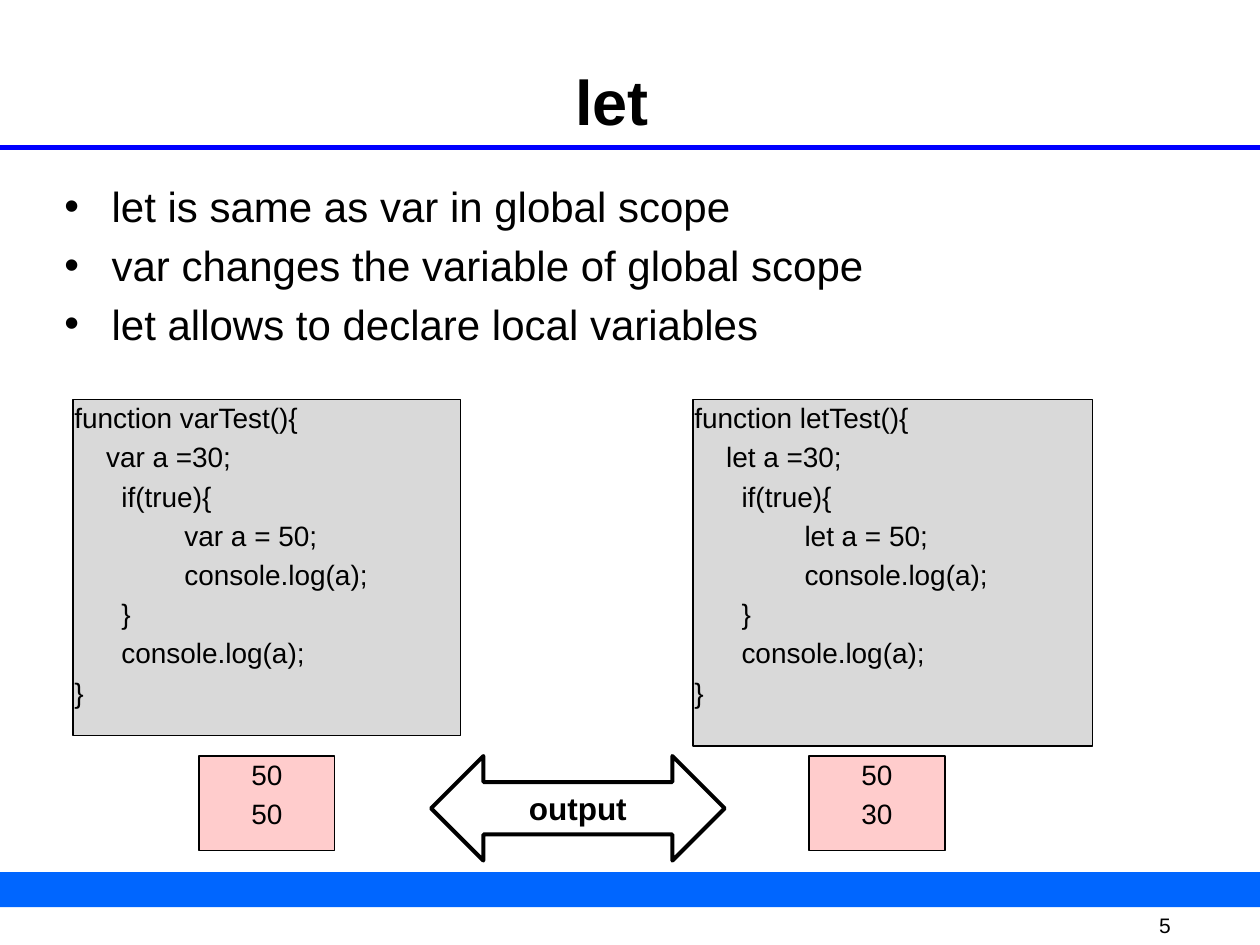
from dataclasses import dataclass

from lxml.etree import SubElement
from pptx import Presentation
from pptx.dml.color import RGBColor
from pptx.enum.shapes import MSO_CONNECTOR as Connector, MSO_SHAPE as Shape
from pptx.enum.text import MSO_ANCHOR as Anchor, MSO_AUTO_SIZE as AutoSize, PP_ALIGN as Align
from pptx.oxml.ns import qn
from pptx.util import Cm, Pt

FONT = "Arial"
BLACK, GREY, PINK = "000000", "D9D9D9", "FFCCCC"
BAR_BLUE, RULE_BLUE = "0066FF", "0000FF"
HANGING = 0.95
CODE_INDENTS = (0, 0.64, 0.95, 2.22, 2.22, 0.95, 0.95, 0)


@dataclass
class Box:
    left: float
    top: float
    width: float
    height: float

    def lengths(self):
        return Cm(self.left), Cm(self.top), Cm(self.width), Cm(self.height)


@dataclass
class Example:
    keyword: str
    code_box: Box
    output_box: Box
    output: list[str]

    def code(self) -> list[str]:
        return [f"function {self.keyword}Test(){{", f"{self.keyword} a =30;", "if(true){",
                f"{self.keyword} a = 50;", "console.log(a);", "}", "console.log(a);", "}"]


def color(value: str) -> RGBColor:
    return RGBColor.from_string(value)


def write(shape, lines: list[str], *, size: int, bold: bool = False, align=Align.LEFT,
          anchor=Anchor.TOP, inset: float = 0.03, indents=None, bullet: str = "") -> None:
    """Fill a shape with paragraphs in one format."""
    frame = shape.text_frame
    frame.text = "\n".join(lines)
    frame.word_wrap = True
    frame.auto_size = AutoSize.NONE
    frame.vertical_anchor = anchor
    frame.margin_left = frame.margin_right = frame.margin_top = frame.margin_bottom = Cm(inset)
    for paragraph, indent in zip(frame.paragraphs, indents or [0] * len(lines)):
        paragraph.alignment = align
        font = paragraph.runs[0].font
        font.name, font.size, font.bold = FONT, Pt(size), bold
        font.color.rgb = color(BLACK)
        # Space before is 20 % of the text size
        properties = paragraph._p.get_or_add_pPr()
        properties.set("marL", str(Cm(indent)))
        properties.set("indent", str(-Cm(indent) if bullet else 0))
        space = SubElement(properties, qn("a:spcBef"))
        SubElement(space, qn("a:spcPct")).set("val", "20000")
        if bullet:
            SubElement(properties, qn("a:buFont")).set("typeface", FONT)
            SubElement(properties, qn("a:buChar")).set("char", bullet)


def add_box(slide, kind, box: Box, *, fill: str = "", line: float = 0):
    """Add a preset shape with an optional fill and black outline."""
    shape = slide.shapes.add_shape(kind, *box.lengths())
    shape.shadow.inherit = False
    if fill:
        shape.fill.solid()
        shape.fill.fore_color.rgb = color(fill)
    else:
        shape.fill.background()
    if line:
        shape.line.color.rgb = color(BLACK)
        shape.line.width = Pt(line)
    else:
        shape.line.fill.background()
    return shape


def place(shape, box: Box):
    shape.left, shape.top, shape.width, shape.height = box.lengths()
    return shape


def add_example(slide, example: Example) -> None:
    """Add a code listing and the output below it."""
    listing = add_box(slide, Shape.RECTANGLE, example.code_box, fill=GREY, line=0.75)
    write(listing, example.code(), size=16, indents=CODE_INDENTS)
    result = add_box(slide, Shape.RECTANGLE, example.output_box, fill=PINK, line=0.75)
    write(result, example.output, size=16, align=Align.CENTER)


presentation = Presentation()
presentation.slide_width, presentation.slide_height = Cm(25.4), Cm(19.05)
slide = presentation.slides.add_slide(presentation.slide_layouts[1])

# Footer bar, slide number and title rule
add_box(slide, Shape.RECTANGLE, Box(0, 17.58, 25.4, 0.71), fill=BAR_BLUE)
number = slide.shapes.add_textbox(*Box(23.37, 18.42, 1.2, 0.48).lengths())
write(number, ["5"], size=12, anchor=Anchor.MIDDLE, inset=0)
rule = slide.shapes.add_connector(Connector.STRAIGHT, 0, Cm(2.97), Cm(25.4), Cm(2.97))
rule.line.color.rgb = color(RULE_BLUE)
rule.line.width = Pt(3)
SubElement(rule._element.spPr, qn("a:effectLst"))

# Title and bullet list
title = place(slide.shapes.title, Box(1.34, 1.22, 22, 2.44))
write(title, ["let"], size=36, bold=True, align=Align.CENTER)
body = place(slide.placeholders[1], Box(1.27, 3.61, 22.43, 4.88))
write(body, ["let is same as var in global scope",
             "var changes the variable of global scope",
             "let allows to declare local variables"],
      size=24, indents=[HANGING] * 3, bullet="•")

# Code listings with their outputs
EXAMPLES = [
    Example("var", Box(1.47, 8.05, 7.82, 6.78), Box(4.01, 15.24, 2.74, 1.91), ["50", "50"]),
    Example("let", Box(13.97, 8.05, 8.05, 6.99), Box(16.31, 15.24, 2.74, 1.91), ["50", "30"]),
]
for example in EXAMPLES:
    add_example(slide, example)

# Arrow between the outputs
arrow = add_box(slide, Shape.LEFT_RIGHT_ARROW, Box(8.69, 15.24, 5.92, 2.11), line=2.25)
write(arrow, ["output"], size=18, bold=True, align=Align.CENTER, anchor=Anchor.MIDDLE)

presentation.save("out.pptx")
